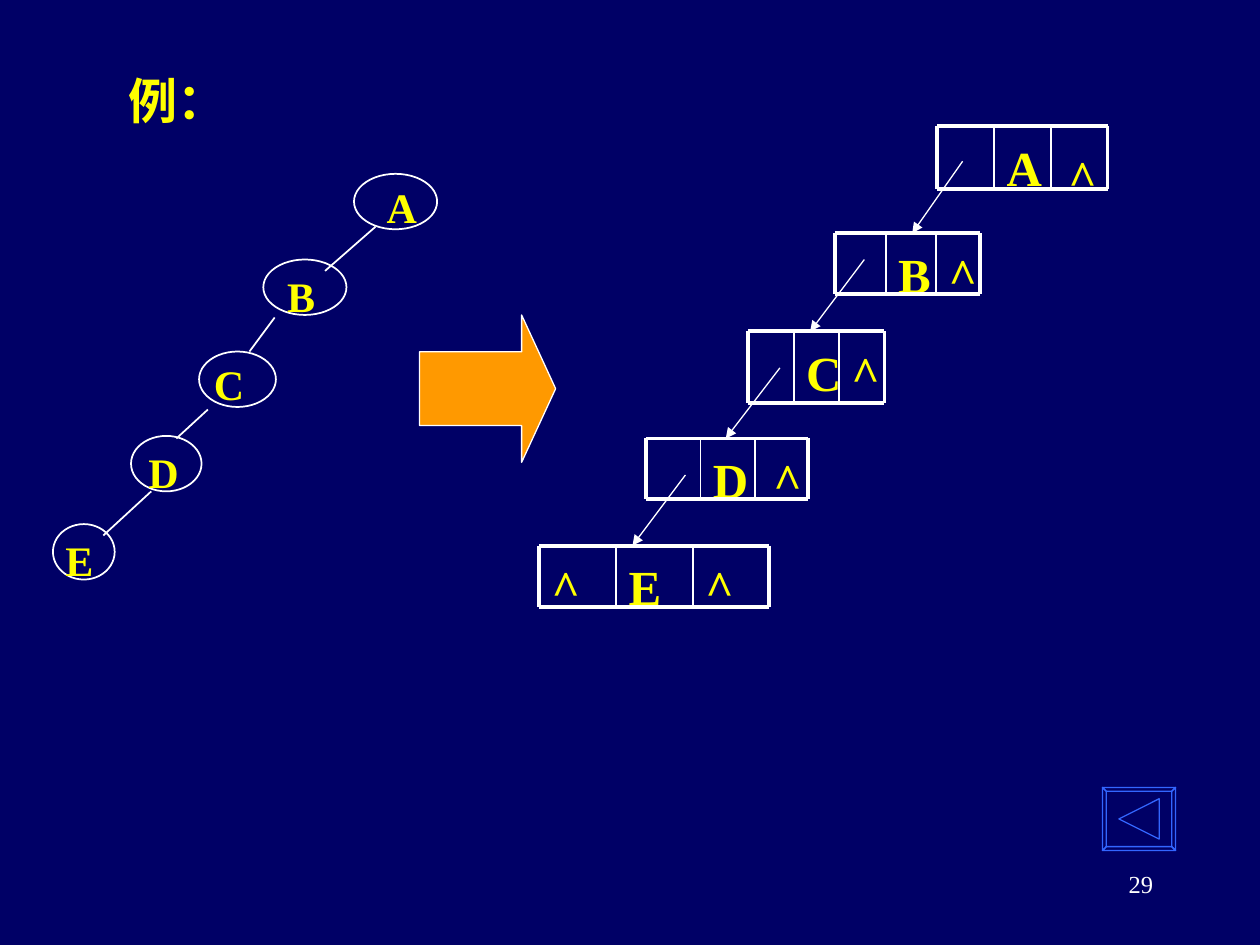
from dataclasses import dataclass

from lxml.etree import SubElement
from pptx import Presentation
from pptx.dml.color import RGBColor
from pptx.enum.shapes import MSO_CONNECTOR as Connector, MSO_SHAPE as Preset
from pptx.enum.text import MSO_ANCHOR as Anchor, MSO_AUTO_SIZE as AutoSize, PP_ALIGN as Align
from pptx.oxml.ns import qn
from pptx.util import Inches, Pt


@dataclass(frozen=True)
class Theme:
    """Colours, fonts, type sizes and line widths of the slide."""
    back: RGBColor = RGBColor(0x00, 0x00, 0x66)
    white: RGBColor = RGBColor(0xFF, 0xFF, 0xFF)
    yellow: RGBColor = RGBColor(0xFF, 0xFF, 0x00)
    orange: RGBColor = RGBColor(0xFF, 0x99, 0x00)
    blue: RGBColor = RGBColor(0x33, 0x66, 0xFF)
    latin: str = "Times New Roman"
    asian: str = "Noto Sans CJK SC"
    cell: int = 28
    label: int = 24
    number: int = 14
    thick: float = 2.25
    medium: float = 1
    thin: float = 0.75


@dataclass(frozen=True)
class Box:
    """A rectangle in inches."""
    left: float
    top: float
    width: float
    height: float

    def inside(self, x, y, width, height):
        """Return a box placed relative to this one."""
        return Box(self.left + x, self.top + y, width, height)

    def point(self, x, y):
        """Return a point placed relative to this box."""
        return Inches(self.left + x), Inches(self.top + y)

    def lengths(self):
        """Return left, top, width and height as lengths."""
        return [Inches(n) for n in (self.left, self.top, self.width, self.height)]


THEME = Theme()

TREE_NODES = [
    ("A", 2.39, 0, 0.66, 0.16, -0.02),
    ("B", 1.67, 0.68, 0.66, 0.09, 0),
    ("C", 1.16, 1.41, 0.61, 0.02, -0.03),
    ("D", 0.62, 2.08, 0.56, 0.04, 0),
    ("E", 0, 2.78, 0.49, 0, 0),
]
TREE_EDGES = [
    ((2.56, 0.42), (2.16, 0.77)),
    ((1.76, 1.14), (1.56, 1.41)),
    ((1.23, 1.87), (0.98, 2.1)),
    ((0.78, 2.52), (0.4, 2.87)),
]
RECORDS = [
    (" A^", 3.16, 0, 1.35, 0.5, 0.45, (0.04, 0.07)),
    (" B^", 2.35, 0.85, 1.15, 0.48, 0.4, (0, 0)),
    (" C^", 1.66, 1.63, 1.08, 0.57, 0.36, (0, 0)),
    (" D^", 0.85, 2.48, 1.28, 0.48, 0.43, (0.05, 0)),
    ("^E^", 0, 3.33, 1.82, 0.49, 0.61, (0, 0)),
]
LINKS = [
    ((3.36, 0.28), (2.96, 0.85)),
    ((2.58, 1.06), (2.15, 1.63)),
    ((1.91, 1.92), (1.48, 2.48)),
    ((1.16, 2.77), (0.74, 3.33)),
]


def style_para(para, size, color, bold, name=THEME.latin):
    """Set the font of a whole paragraph."""
    font = para.font
    font.name, font.size, font.bold = name, Pt(size), bold
    font.color.rgb = color


def add_text(shapes, box, text, size, color=THEME.yellow, bold=True, align=Align.LEFT, wrap=True):
    """Add a one-line text box."""
    frame = shapes.add_textbox(*box.lengths()).text_frame
    frame.word_wrap = wrap
    frame.margin_top = Inches(0.05 + size / 700)
    frame.margin_bottom = 0
    para = frame.paragraphs[0]
    para.text, para.alignment = text, align
    style_para(para, size, color, bold)


def add_line(shapes, box, start, end, width, arrow=False):
    """Add a white line between two points of a box, with an arrowhead if wanted."""
    line = shapes.add_connector(Connector.STRAIGHT, *box.point(*start), *box.point(*end))
    line.line.color.rgb = THEME.white
    line.line.width = Pt(width)
    if arrow:
        SubElement(line.line._get_or_add_ln(), qn("a:tailEnd"), type="triangle")
    SubElement(line._element.spPr, qn("a:effectLst"))


def outline(shape, color, width, fill=None):
    """Give a shape its line and fill, without a shadow."""
    shape.shadow.inherit = False
    shape.line.color.rgb = color
    shape.line.width = Pt(width)
    if fill is None:
        shape.fill.background()
    else:
        shape.fill.solid()
        shape.fill.fore_color.rgb = fill


def draw_title(page, box):
    """Place and format the title."""
    title = page.shapes.title
    title.left, title.top, title.width, title.height = box.lengths()
    frame = title.text_frame
    frame.auto_size, frame.vertical_anchor = AutoSize.NONE, Anchor.MIDDLE
    para = frame.paragraphs[0]
    para.text, para.alignment = "例：", Align.LEFT
    style_para(para, THEME.cell, THEME.yellow, True, THEME.asian)
    defaults = para._p.pPr.find(qn("a:defRPr"))
    SubElement(defaults, qn("a:ea"), typeface=THEME.asian)


def draw_tree(page, box):
    """Draw the binary tree with its round nodes."""
    shapes = page.shapes.add_group_shape().shapes
    for letter, x, y, width, shift, drop in TREE_NODES:
        oval = shapes.add_shape(Preset.OVAL, *box.inside(x, y, width, 0.44).lengths())
        outline(oval, THEME.white, THEME.medium)
        place = box.inside(x + shift, y + drop, 0.44, 0.5)
        add_text(shapes, place, letter, THEME.label, wrap=False)
    for start, end in TREE_EDGES:
        add_line(shapes, box, start, end, THEME.medium)


def draw_record(shapes, box, marks, cell, nudge):
    """Draw one record of three cells."""
    for index, mark in enumerate(marks):
        if mark.strip():
            x, y = nudge if index == 2 else (0, 0)
            place = box.inside(index * cell + x, y, cell, box.height)
            add_text(shapes, place, mark, THEME.cell)
    for y in (0, box.height):
        add_line(shapes, box, (0, y), (box.width, y), THEME.thick)
    for x in (0, cell, 2 * cell, box.width):
        width = THEME.thick if x in (0, box.width) else THEME.medium
        add_line(shapes, box, (x, 0), (x, box.height), width)


def draw_chain(page, box):
    """Draw the linked records and their pointers."""
    shapes = page.shapes.add_group_shape().shapes
    for marks, x, y, width, height, cell, nudge in RECORDS:
        draw_record(shapes, box.inside(x, y, width, height), marks, cell, nudge)
    for start, end in LINKS:
        add_line(shapes, box, start, end, THEME.thin, arrow=True)


def draw_arrow(page, box):
    """Draw the block arrow from tree to records."""
    arrow = page.shapes.add_shape(Preset.RIGHT_ARROW, *box.lengths())
    arrow.adjustments[0], arrow.adjustments[1] = 0.5, 0.25
    outline(arrow, THEME.white, THEME.thin, THEME.orange)


def draw_back_button(page, box):
    """Draw the bevelled back button."""
    def corners(inset):
        right, bottom = box.width - inset, box.height - inset
        return [(inset, inset), (right, inset), (right, bottom), (inset, bottom)]

    outer, inner = corners(0), corners(0.03)
    sides = [(outer[i - 1], outer[i], inner[i], inner[i - 1]) for i in range(4)]
    triangle = ((0.45, 0.09), (0.13, 0.25), (0.45, 0.41))
    builder = page.shapes.build_freeform(*box.point(*sides[0][0]))
    for index, (first, *rest) in enumerate([*sides, triangle]):
        if index:
            builder.move_to(*box.point(*first))
        builder.add_line_segments([box.point(*spot) for spot in rest], close=True)
    outline(builder.convert_to_shape(), THEME.blue, THEME.thin)


def main():
    """Build the slide and save it."""
    deck = Presentation()
    deck.slide_width, deck.slide_height = Inches(10), Inches(7.5)
    page = deck.slides.add_slide(deck.slide_layouts.get_by_name("Title Only"))
    page.background.fill.solid()
    page.background.fill.fore_color.rgb = THEME.back
    add_text(page.shapes, Box(7.17, 6.83, 2.08, 0.5), "29", THEME.number,
             THEME.white, False, Align.RIGHT)
    draw_back_button(page, Box(8.75, 6.25, 0.58, 0.5))
    draw_title(page, Box(0.92, 0.42, 1.72, 0.75))
    draw_tree(page, Box(0.42, 1.38, 3.05, 3.22))
    draw_arrow(page, Box(3.33, 2.5, 1.08, 1.17))
    draw_chain(page, Box(4.28, 1, 4.51, 3.82))
    deck.save("out.pptx")


if __name__ == "__main__":
    main()
